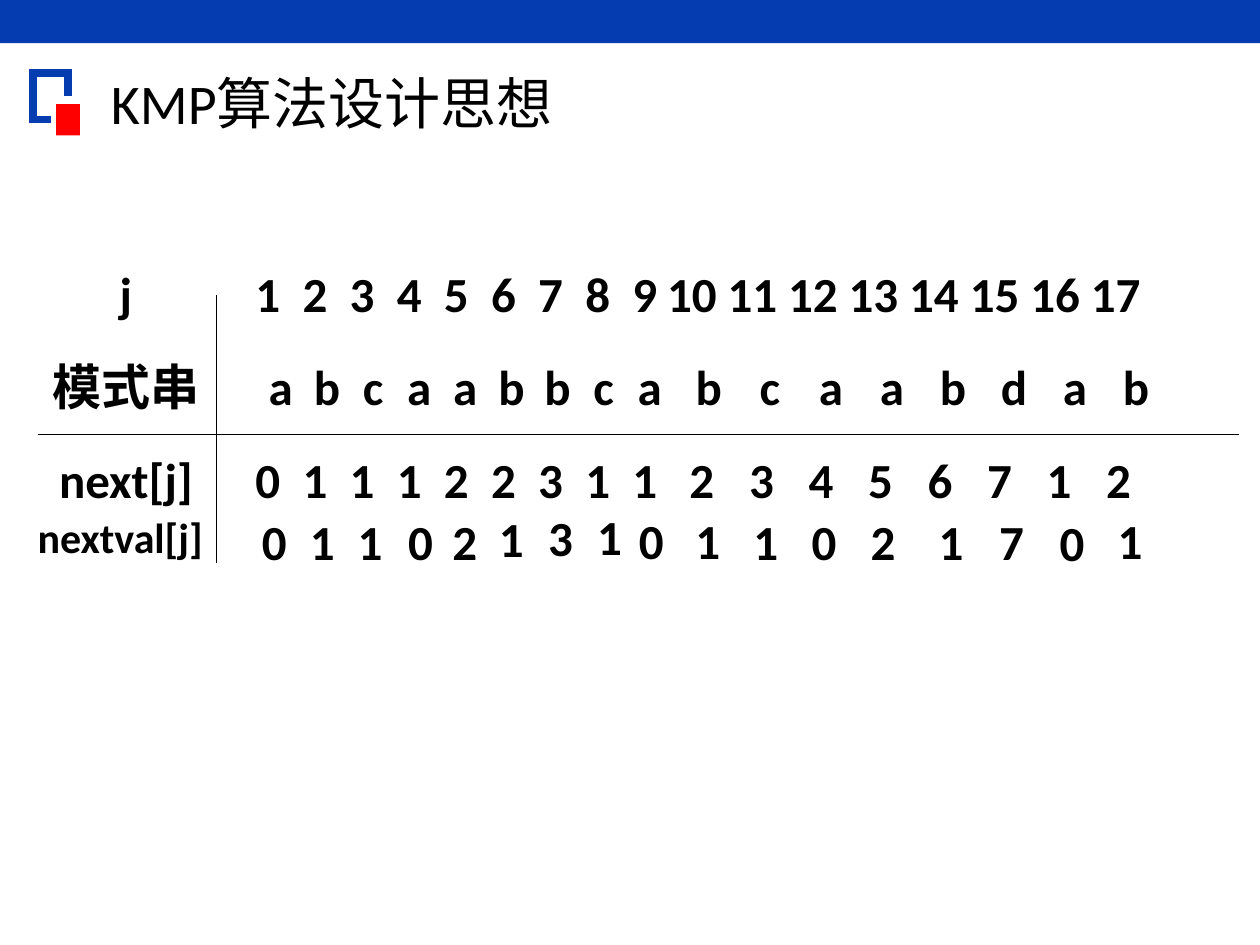
from dataclasses import dataclass

from lxml import etree
from pptx import Presentation
from pptx.dml.color import RGBColor
from pptx.enum.shapes import MSO_CONNECTOR, MSO_SHAPE
from pptx.enum.text import MSO_ANCHOR, MSO_AUTO_SIZE, PP_ALIGN
from pptx.oxml.ns import qn
from pptx.util import Cm, Pt

RECTANGLE = MSO_SHAPE.RECTANGLE
STRAIGHT = MSO_CONNECTOR.STRAIGHT
MIDDLE = MSO_ANCHOR.MIDDLE
LEFT = PP_ALIGN.LEFT
FIXED_SIZE, FIT_TEXT = MSO_AUTO_SIZE.NONE, MSO_AUTO_SIZE.SHAPE_TO_FIT_TEXT
TITLE_ONLY = 5

ROWS_LEFT = -0.25
LABEL_CENTRE = 2.54
NARROW_COLUMNS, WIDE_COLUMNS = 9, 8

# label, values, first centre and step of the narrow columns, then of the wide ones
ROWS = [
    ("j", [str(number) for number in range(1, 18)], (5.4, 0.95), (13.95, 1.22)),
    ("模式串", "abcaabbcabcaabdab", (5.66, 0.93), (14.29, 1.23)),
    ("next[j]", "01112231123456712", (5.4, 0.95), (14.15, 1.2)),
]

# value, left, top
NEXTVAL_DIGITS = [
    ("0", 5.28, 10.31), ("1", 6.25, 10.31), ("1", 7.21, 10.31),
    ("0", 8.23, 10.31), ("2", 9.12, 10.31), ("1", 10.06, 10.26),
    ("3", 11.05, 10.24), ("1", 12.04, 10.21), ("0", 12.88, 10.29),
    ("1", 14.02, 10.29), ("1", 15.19, 10.31), ("0", 16.36, 10.31),
    ("2", 17.55, 10.31), ("1", 18.92, 10.31), ("7", 20.14, 10.31),
    ("0", 21.36, 10.34), ("1", 22.53, 10.29),
]


@dataclass(frozen=True)
class Theme:
    font: str = "Calibri"
    text: RGBColor = RGBColor(0x00, 0x00, 0x00)
    blue: RGBColor = RGBColor(0x05, 0x3C, 0xAF)
    red: RGBColor = RGBColor(0xFF, 0x00, 0x00)
    title_size: Pt = Pt(32)
    body_size: Pt = Pt(28)
    label_size: Pt = Pt(24)
    row_height: Pt = Pt(45)
    row_gap: Pt = Pt(8)
    rule_width: Pt = Pt(0.75)
    bracket_width: Pt = Pt(4.5)


class SlideBuilder:
    def __init__(self, slide, theme):
        self.slide = slide
        self.theme = theme

    def format_runs(self, paragraph, size, bold):
        for run in paragraph.runs:
            run.font.name = self.theme.font
            run.font.size = size
            run.font.bold = bold
            run.font.color.rgb = self.theme.text

    def title(self, text, left, top, width, height):
        shape = self.slide.shapes.title
        shape.left, shape.top = Cm(left), Cm(top)
        shape.width, shape.height = Cm(width), Cm(height)
        frame = shape.text_frame
        frame.text = text
        frame.auto_size = FIXED_SIZE
        frame.vertical_anchor = MIDDLE
        frame.paragraphs[0].alignment = LEFT
        self.format_runs(frame.paragraphs[0], self.theme.title_size, False)

    def tabbed_rows(self, rows, left, top, width, height):
        """Write one paragraph per row, each entry centred on its own tab stop."""
        shape = self.slide.shapes.add_textbox(Cm(left), Cm(top), Cm(width), Cm(height))
        frame = shape.text_frame
        frame.word_wrap = True
        frame.auto_size = FIXED_SIZE
        frame.margin_left = frame.margin_right = 0
        frame.text = "\n".join("\t" + "\t".join([label, *values]) for label, values, *_ in rows)
        for paragraph, (_, _, narrow, wide) in zip(frame.paragraphs, rows):
            paragraph.line_spacing = self.theme.row_height
            paragraph.space_after = self.theme.row_gap
            centres = [LABEL_CENTRE]
            for (start, step), count in ((narrow, NARROW_COLUMNS), (wide, WIDE_COLUMNS)):
                centres += [start + step * column for column in range(count)]
            tabs = etree.SubElement(paragraph._p.get_or_add_pPr(), qn("a:tabLst"))
            for centre in centres:
                etree.SubElement(tabs, qn("a:tab"), pos=str(int(Cm(centre - left))), algn="ctr")
            self.format_runs(paragraph, self.theme.body_size, True)

    def text_box(self, text, size, left, top, width, height, margins=True):
        shape = self.slide.shapes.add_textbox(Cm(left), Cm(top), Cm(width), Cm(height))
        frame = shape.text_frame
        frame.word_wrap = False
        frame.auto_size = FIT_TEXT
        if not margins:
            frame.margin_left = frame.margin_right = 0
            frame.margin_top = frame.margin_bottom = 0
        frame.text = text
        self.format_runs(frame.paragraphs[0], size, True)

    def rectangle(self, color, left, top, width, height):
        shape = self.slide.shapes.add_shape(
            RECTANGLE, Cm(left), Cm(top), Cm(width), Cm(height))
        shape.shadow.inherit = False
        shape.fill.solid()
        shape.fill.fore_color.rgb = color
        shape.line.fill.background()

    def open_outline(self, points):
        start, *others = [(Cm(x), Cm(y)) for x, y in points]
        builder = self.slide.shapes.build_freeform(*start)
        builder.add_line_segments(others, close=False)
        shape = builder.convert_to_shape()
        shape.shadow.inherit = False
        shape.fill.background()
        shape.line.color.rgb = self.theme.blue
        shape.line.width = self.theme.bracket_width
        outline = shape._element.spPr.find(qn("a:ln"))
        etree.SubElement(outline, qn("a:miter"), lim="800000")

    def rule(self, x1, y1, x2, y2):
        line = self.slide.shapes.add_connector(STRAIGHT, Cm(x1), Cm(y1), Cm(x2), Cm(y2))
        line.line.color.rgb = self.theme.text
        line.line.width = self.theme.rule_width
        etree.SubElement(line._element.spPr, qn("a:effectLst"))


def main():
    presentation = Presentation()
    presentation.slide_width, presentation.slide_height = Cm(25.4), Cm(19.05)
    slide = presentation.slides.add_slide(presentation.slide_layouts[TITLE_ONLY])
    theme = Theme()
    builder = SlideBuilder(slide, theme)

    builder.rectangle(theme.blue, 0, 0, 25.4, 0.87)
    builder.open_outline([(1.02, 2.41), (0.66, 2.41), (0.66, 1.47), (1.37, 1.47), (1.37, 1.93)])
    builder.rectangle(theme.red, 1.13, 2.1, 0.48, 0.63)

    builder.title("KMP算法设计思想", 1.98, 1.35, 17.81, 1.42)
    builder.tabbed_rows(ROWS, ROWS_LEFT, 4.79, 26.09, 7.01)

    builder.text_box("nextval[j]", theme.label_size, 0.51, 10.19, 3.99, 1.27)
    builder.rule(0.76, 8.76, 24.97, 8.76)
    builder.rule(4.37, 11.35, 4.37, 5.94)
    for digit, left, top in NEXTVAL_DIGITS:
        builder.text_box(digit, theme.body_size, left, top, 0.48, 1.19, margins=False)

    presentation.save("out.pptx")


if __name__ == "__main__":
    main()
